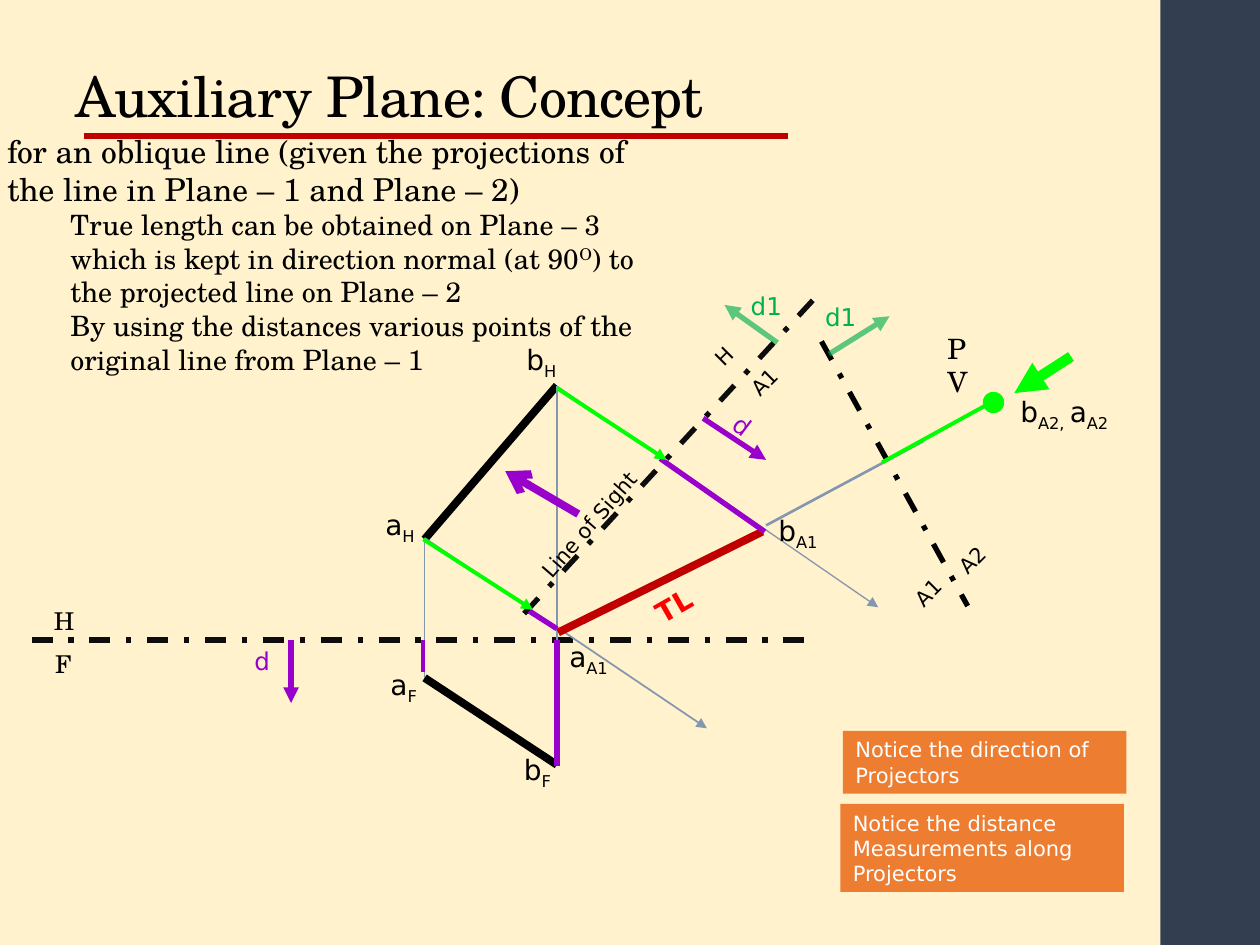
from lxml import etree
from pptx import Presentation
from pptx.dml.color import RGBColor
from pptx.enum.dml import MSO_LINE
from pptx.enum.shapes import MSO_CONNECTOR, MSO_SHAPE
from pptx.enum.text import MSO_ANCHOR, PP_ALIGN
from pptx.oxml.ns import qn
from pptx.util import Inches, Pt

STRAIGHT = MSO_CONNECTOR.STRAIGHT
RECTANGLE, OVAL = MSO_SHAPE.RECTANGLE, MSO_SHAPE.OVAL
DASH_DOT = MSO_LINE.DASH_DOT
SERIF, SANS = "TeX Gyre Schola", "DejaVu Sans"
BLACK, WHITE, CREAM, NAVY = "000000", "FFFFFF", "FFF2CC", "333F50"
RED, BRIGHT_RED, ORANGE = "C00000", "FF0000", "ED7D31"
PURPLE, LIME, GREEN, STEEL, FOLD = "9900CC", "00FF00", "00B050", "8497B0", "0D0D0D"
SUB, SUPER = -25000, 30000


def rgb(value):
    return RGBColor.from_string(value)


def style(paragraph, size, font=SANS, color=BLACK, bold=False):
    paragraph.font.size = Pt(size)
    paragraph.font.name = font
    paragraph.font.bold = bold
    paragraph.font.color.rgb = rgb(color)


def add_runs(paragraph, pieces):
    """Each piece is plain text or a (text, baseline) pair."""
    for piece in pieces:
        text, baseline = (piece, 0) if isinstance(piece, str) else piece
        run = paragraph.add_run()
        run.text = text
        if baseline:
            run._r.get_or_add_rPr().set("baseline", str(baseline))


class Region:
    """Places parts relative to the top left corner of a box, in inches."""

    def __init__(self, slide, left, top):
        self.shapes, self.left, self.top = slide.shapes, left, top

    def at(self, x, y):
        return Inches(self.left + x), Inches(self.top + y)

    def line(self, start, end, color, width, dash=None, arrow=None, opacity=None):
        connector = self.shapes.add_connector(STRAIGHT, *self.at(*start), *self.at(*end))
        connector.line.color.rgb = rgb(color)
        connector.line.width = Pt(width)
        if dash:
            connector.line.dash_style = dash
        properties = connector._element.spPr
        outline = properties.find(qn("a:ln"))
        if opacity:
            fill_color = outline.find(".//" + qn("a:srgbClr"))
            etree.SubElement(fill_color, qn("a:alpha"), val=str(opacity * 1000))
        if arrow:
            etree.SubElement(outline, qn("a:tailEnd"), type=arrow)
        etree.SubElement(properties, qn("a:effectLst"))

    def text_box(self, x, y, width, height, wrap=True):
        box = self.shapes.add_textbox(*self.at(x, y), Inches(width), Inches(height))
        box.text_frame.word_wrap = wrap
        return box

    def label(self, x, y, width, pieces, size=16, color=BLACK, font=SANS,
              rotation=0, bold=False, wrap=False):
        box = self.text_box(x, y, width, size / 60 + 0.1, wrap)
        box.rotation = rotation
        paragraph = box.text_frame.paragraphs[0]
        add_runs(paragraph, pieces)
        style(paragraph, size, font, color, bold)

    def point(self, x, y, width, name, view):
        self.label(x, y, width, [name, (view, SUB)])

    def solid(self, kind, x, y, width, height, color):
        shape = self.shapes.add_shape(kind, *self.at(x, y), Inches(width), Inches(height))
        shape.shadow.inherit = False
        shape.fill.solid()
        shape.fill.fore_color.rgb = rgb(color)
        shape.line.fill.background()
        return shape


def add_frame(slide, left, top):
    frame = Region(slide, left, top)
    frame.solid(RECTANGLE, 9.21, 0, 0.8, 7.5, NAVY)
    frame.line((0.67, 1.08), (6.25, 1.08), RED, 3)


def add_title(slide, left, top, width, height):
    box = Region(slide, left, top).text_box(0, 0, width, height)
    box.text_frame.vertical_anchor = MSO_ANCHOR.BOTTOM
    title = box.text_frame.paragraphs[0]
    title.line_spacing = 0.9
    add_runs(title, ["Auxiliary Plane: Concept"])
    title.runs[0]._r.get_or_add_rPr().set("spc", "-50")
    style(title, 32, SERIF)


def add_explanation(slide, left, top, width, height):
    frame = Region(slide, left, top).text_box(0, 0, width, height).text_frame
    statements = [
        (18, ["for an oblique line (given the projections of the line in "
              "Plane – 1 and Plane – 2)"]),
        (16, ["True length can be obtained on Plane – 3 which is kept in "
              "direction normal (at 90", ("O", SUPER),
              ") to the projected line on Plane – 2"]),
        (16, ["By using the distances various points of the original line "
              "from Plane – 1"]),
    ]
    for index, (size, pieces) in enumerate(statements):
        paragraph = frame.add_paragraph() if index else frame.paragraphs[0]
        if index:
            paragraph.level = 1
            properties = paragraph._p.get_or_add_pPr()
            properties.set("marL", str(Inches(0.5)))
            properties.set("indent", "0")
        add_runs(paragraph, pieces)
        style(paragraph, size, SERIF)


def add_principal_views(slide, left, top):
    views = Region(slide, left, top)
    a_h, b_h, a_f, b_f = (3.12, 1.7), (4.17, 0.48), (3.12, 2.8), (4.17, 3.49)
    # Fold line between H and F
    views.line((0, 2.5), (6.25, 2.5), FOLD, 3, DASH_DOT)
    views.label(0.08, 2.18, 0.35, ["H"], 14, font=SERIF)
    views.label(0.09, 2.52, 0.33, ["F"], 14, font=SERIF)
    # Projections of the line and their projectors
    for start, end in ((a_h, b_h), (a_f, b_f)):
        views.line(start, end, BLACK, 4.5)
    for start, end in ((a_f, a_h), (b_h, b_f)):
        views.line(start, end, STEEL, 1)
    # Distances below the fold line
    views.line((2.06, 2.5), (2.06, 3), PURPLE, 3, arrow="triangle")
    views.label(1.67, 2.5, 0.34, ["d"], 14, PURPLE)
    views.line((3.11, 2.5), (3.11, 2.75), PURPLE, 2.25)
    views.line((4.17, 2.5), (4.17, 3.5), PURPLE, 3)
    for x, y, width, name, view in ((3.83, 0.09, 0.45, "b", "H"), (3.81, 3.34, 0.43, "b", "F"),
                                    (2.71, 1.4, 0.45, "a", "H"), (2.75, 2.67, 0.42, "a", "F")):
        views.point(x, y, width, name, view)


def add_first_auxiliary(slide, left, top):
    view = Region(slide, left, top)
    # Projectors and the true length line
    view.line((0.01, 2.07), (2.25, 3.58), STEEL, 1, arrow="triangle")
    view.line((1.07, 0.87), (3.61, 2.62), STEEL, 0.75, arrow="triangle")
    view.line((1.07, 2.82), (2.69, 2.02), RED, 4.5)
    view.label(1.74, 2.42, 0.5, ["TL"], color=BRIGHT_RED, rotation=330.2, bold=True)
    # Fold line between H and A1
    view.line((0.8, 2.67), (3.14, 0.13), FOLD, 3, DASH_DOT)
    view.label(2.22, 0.47, 0.34, ["H"], 12, rotation=315)
    view.label(2.49, 0.67, 0.45, ["A1"], 12, rotation=315)
    # Distances carried over from the front view
    view.line((2.22, 1.12), (2.72, 1.45), PURPLE, 3, arrow="triangle")
    view.label(2.37, 1.02, 0.34, ["d"], 14, PURPLE, rotation=37)
    view.line((0.84, 2.65), (1.06, 2.79), PURPLE, 3)
    view.line((1.88, 1.44), (2.71, 2.02), PURPLE, 3)
    view.point(1.06, 2.83, 0.54, "a", "A1")
    view.point(2.72, 1.83, 0.54, "b", "A1")
    # Line of sight
    view.line((1.23, 1.88), (0.65, 1.54), PURPLE, 4.5, arrow="arrow")
    view.label(0.67, 1.76, 1.38, ["Line of Sight"], 12, rotation=311.1)
    for start, end in (((1.06, 0.88), (1.93, 1.45)), ((0, 2.08), (0.87, 2.64))):
        view.line(start, end, LIME, 2.25, arrow="triangle")
    view.line((2.81, 0.52), (2.39, 0.22), GREEN, 3, arrow="triangle", opacity=63)
    view.label(2.5, 0.06, 0.58, ["d1"], 14, GREEN, wrap=True)


def add_second_auxiliary(slide, left, top):
    view = Region(slide, left, top)
    view.line((0, 1.87), (1.25, 1.2), STEEL, 1.5)
    # Fold line between A1 and A2
    view.line((0.44, 0.41), (1.6, 2.51), BLACK, 3, DASH_DOT)
    view.label(1.42, 1.98, 0.45, ["A2"], 12, rotation=315)
    view.label(1.07, 2.24, 0.45, ["A1"], 12, rotation=315)
    # Point view of the line
    view.line((0.92, 1.37), (1.83, 0.87), LIME, 2.25)
    view.solid(OVAL, 1.72, 0.81, 0.17, 0.17, LIME)
    view.label(1.92, 0.78, 0.99, ["b", ("A2, ", SUB), "a", ("A2", SUB)])
    view.line((2.42, 0.53), (1.97, 0.82), LIME, 6, arrow="triangle")
    view.label(1.34, 0.28, 0.5, ["PV"], font=SERIF, wrap=True)
    view.line((0.5, 0.51), (0.98, 0.21), GREEN, 3, arrow="triangle", opacity=63)
    view.label(0.37, 0.05, 0.58, ["d1"], 14, GREEN, wrap=True)


def add_note(slide, left, top, width, height, text):
    note = Region(slide, left, top).solid(RECTANGLE, 0, 0, width, height, ORANGE)
    note.text_frame.word_wrap = True
    note.text_frame.vertical_anchor = MSO_ANCHOR.TOP
    paragraph = note.text_frame.paragraphs[0]
    paragraph.alignment = PP_ALIGN.LEFT
    add_runs(paragraph, [text])
    style(paragraph, 12, color=WHITE)


def main():
    deck = Presentation()
    deck.slide_width, deck.slide_height = Inches(10), Inches(7.5)
    slide = deck.slides.add_slide(deck.slide_layouts[6])
    slide.background.fill.solid()
    slide.background.fill.fore_color.rgb = rgb(CREAM)
    add_frame(slide, 0, 0)
    add_title(slide, 0.5, 0.08, 7.95, 1)
    add_principal_views(slide, 0.25, 2.58)
    add_first_auxiliary(slide, 3.36, 2.2)
    add_note(slide, 6.69, 5.8, 2.25, 0.5, "Notice the direction of Projectors")
    add_note(slide, 6.67, 6.38, 2.25, 0.7, "Notice the distance Measurements along Projectors")
    add_second_auxiliary(slide, 6.08, 2.3)
    add_explanation(slide, -0.04, 1, 5.29, 2.05)
    deck.save("out.pptx")


if __name__ == "__main__":
    main()
